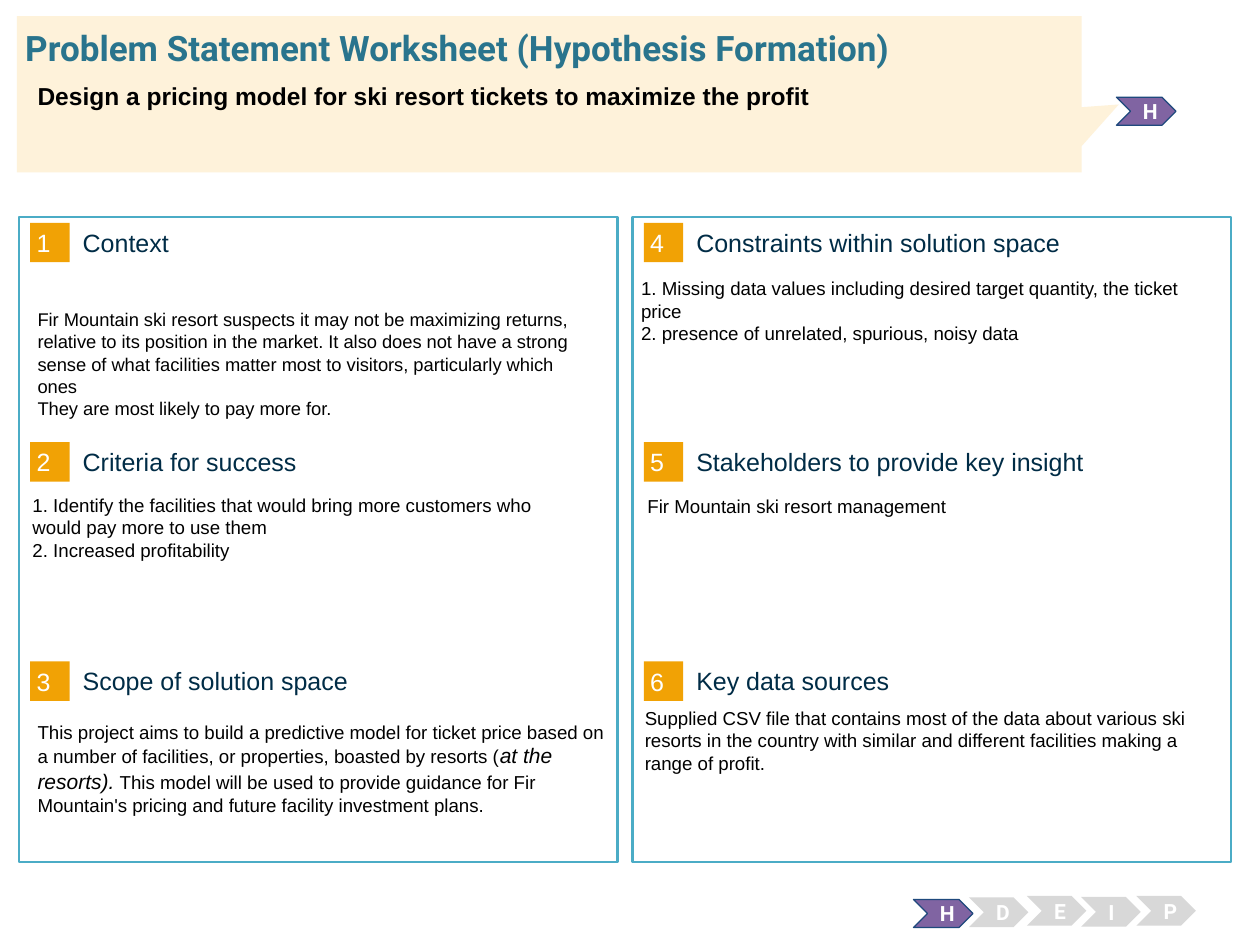
from dataclasses import dataclass

from pptx import Presentation
from pptx.dml.color import RGBColor
from pptx.enum.shapes import MSO_SHAPE as Preset
from pptx.enum.text import MSO_ANCHOR as Anchor, PP_ALIGN as Align
from pptx.shapes.autoshape import Shape
from pptx.slide import Slide
from pptx.util import Pt

WHITE, BLACK = "FFFFFF", "000000"
PURPLE, NAVY, GRAY = "8064A2", "1F497D", "D8D8D8"
COLUMN_LEFT, COLUMN_STEP = 10.8, 350.6
ROW_TOP, ROW_STEP = 127.4, 125.3
ROWS = 3


@dataclass
class Run:
    text: str
    size: float
    italic: bool = False


@dataclass
class Section:
    heading: str
    left: float
    top: float
    width: float
    height: float
    paragraphs: list[list[Run]]


@dataclass
class Step:
    letter: str
    left: float
    top: float
    active: bool = False


def color(value: str) -> RGBColor:
    return RGBColor.from_string(value)


def plain(lines: list[str], size: float = 10.7) -> list[list[Run]]:
    return [[Run(line, size)] for line in lines]


def add_block(slide: Slide, preset: Preset, left: float, top: float, width: float,
              height: float, fill: str, line: str = "", line_width: float = 1) -> Shape:
    shape = slide.shapes.add_shape(preset, Pt(left), Pt(top), Pt(width), Pt(height))
    shape.shadow.inherit = False
    shape.fill.solid()
    shape.fill.fore_color.rgb = color(fill)
    if line:
        shape.line.color.rgb = color(line)
        shape.line.width = Pt(line_width)
    else:
        shape.line.fill.background()
    return shape


def add_text_box(slide: Slide, left: float, top: float, width: float, height: float) -> Shape:
    box = slide.shapes.add_textbox(Pt(left), Pt(top), Pt(width), Pt(height))
    box.text_frame.word_wrap = True
    return box


def set_insets(shape: Shape, inset: float) -> None:
    frame = shape.text_frame
    frame.margin_left = frame.margin_right = Pt(inset)
    frame.margin_top = frame.margin_bottom = Pt(inset)


def set_text(shape: Shape, text: str, size: float, font: str, font_color: str,
             bold: bool = False, align: Align = Align.LEFT,
             anchor: Anchor = Anchor.MIDDLE) -> None:
    shape.text_frame.vertical_anchor = anchor
    paragraph = shape.text_frame.paragraphs[0]
    paragraph.text = text
    paragraph.alignment = align
    paragraph.font.size = Pt(size)
    paragraph.font.name = font
    paragraph.font.bold = bold
    paragraph.font.color.rgb = color(font_color)


def add_section(slide: Slide, index: int, section: Section) -> None:
    column, row = divmod(index, ROWS)
    left = COLUMN_LEFT + column * COLUMN_STEP
    top = ROW_TOP + row * ROW_STEP

    badge = add_block(slide, Preset.RECTANGLE, left + 6.5, top, 22.5, 22.5, "F1A205")
    set_insets(badge, 3.6)
    set_text(badge, str(index + 1), 14.3, "Arial", WHITE)

    heading = add_text_box(slide, left + 36.5, top + 2.3, 283, 17.3)
    set_insets(heading, 0)
    set_text(heading, section.heading, 14.3, "Arial", "002C46")

    body = add_text_box(slide, section.left, section.top, section.width, section.height)
    frame = body.text_frame
    for number, runs in enumerate(section.paragraphs):
        paragraph = frame.add_paragraph() if number else frame.paragraphs[0]
        paragraph.font.name = "Arial"
        paragraph.font.color.rgb = color(BLACK)
        for item in runs:
            run = paragraph.add_run()
            run.text = item.text
            run.font.size = Pt(item.size)
            run.font.italic = item.italic


def add_step(slide: Slide, step: Step) -> None:
    if step.active:
        chevron = add_block(slide, Preset.CHEVRON, step.left, step.top, 34, 16,
                            PURPLE, NAVY, 0.74)
    else:
        chevron = add_block(slide, Preset.CHEVRON, step.left, step.top, 34, 17, GRAY)
    set_text(chevron, step.letter, 12, "Roboto", WHITE, True, Align.CENTER)


SECTIONS = [
    Section("Context", 14.4, 172.8, 333.4, 54, plain([
        "Fir Mountain ski resort suspects it may not be maximizing returns, ",
        "relative to its position in the market. It also does not have a strong ",
        "sense of what facilities matter most to visitors, particularly which ones",
        "They are most likely to pay more for."], 10.5)),
    Section("Criteria for success", 11.5, 278.6, 340.6, 111, plain([
        "1. Identify the facilities that would bring more customers who",
        "would pay more to use them",
        "2. Increased profitability"])),
    Section("Scope of solution space", 14.4, 408.2, 340.6, 59, [[
        Run("This project aims to build a predictive model for ticket price based on "
            "a number of facilities, or properties, boasted by resorts (", 10.7),
        Run("at the resorts).", 12, True),
        Run("\u00a0This model will be used to provide guidance for Fir Mountain's "
            "pricing and future facility investment plans.", 10.7)]]),
    Section("Constraints within solution space", 359.3, 154.8, 340.6, 85, plain([
        "1. Missing data values including desired target quantity, the ticket price",
        "2. presence of unrelated, spurious, noisy data"])),
    Section("Stakeholders to provide key insight", 362.9, 279.4, 340.6, 85, plain([
        "Fir Mountain ski resort management"])),
    Section("Key data sources", 361.4, 400.3, 340.6, 85, plain([
        "Supplied CSV file that contains most of the data about various ski resorts in "
        "the country with similar and different facilities making a range of profit."])),
]

STEPS = [
    Step("H", 522, 514, True),
    Step("D", 553.7, 512.8),
    Step("E", 586.8, 512),
    Step("I", 617.8, 512.6),
    Step("P", 649.4, 512),
    Step("H", 638, 55.6, True),
]

presentation = Presentation()
presentation.slide_width, presentation.slide_height = Pt(720), Pt(540)
slide = presentation.slides.add_slide(presentation.slide_layouts[5])

# Column panels and their numbered sections
for column in range(2):
    add_block(slide, Preset.RECTANGLE, COLUMN_LEFT + column * COLUMN_STEP, 124,
              342, 368.6, WHITE, "4BACC6", 1.5)
for index, section in enumerate(SECTIONS):
    add_section(slide, index, section)

# Process chevrons
for step in STEPS:
    add_step(slide, step)

# Header callout, with the title in front of it
callout = add_block(slide, Preset.RECTANGULAR_CALLOUT, 9.6, 9.2, 608.4, 89.3, "FEF2DA")
callout.adjustments[0], callout.adjustments[1] = 0.535, 0.066

title = slide.shapes.title
title.left, title.top, title.width, title.height = Pt(14.4), Pt(15.1), Pt(692.6), Pt(24.5)
set_insets(title, 0)
set_text(title, "Problem Statement Worksheet (Hypothesis Formation)", 20, "Roboto",
         "29748D", True, anchor=Anchor.TOP)
callout._element.addnext(title._element)

subtitle = add_text_box(slide, 14.4, 42.5, 676, 39)
set_text(subtitle, "Design a pricing model for ski resort tickets to maximize the profit",
         14, "Arial", BLACK, True, anchor=Anchor.TOP)

presentation.save("out.pptx")
